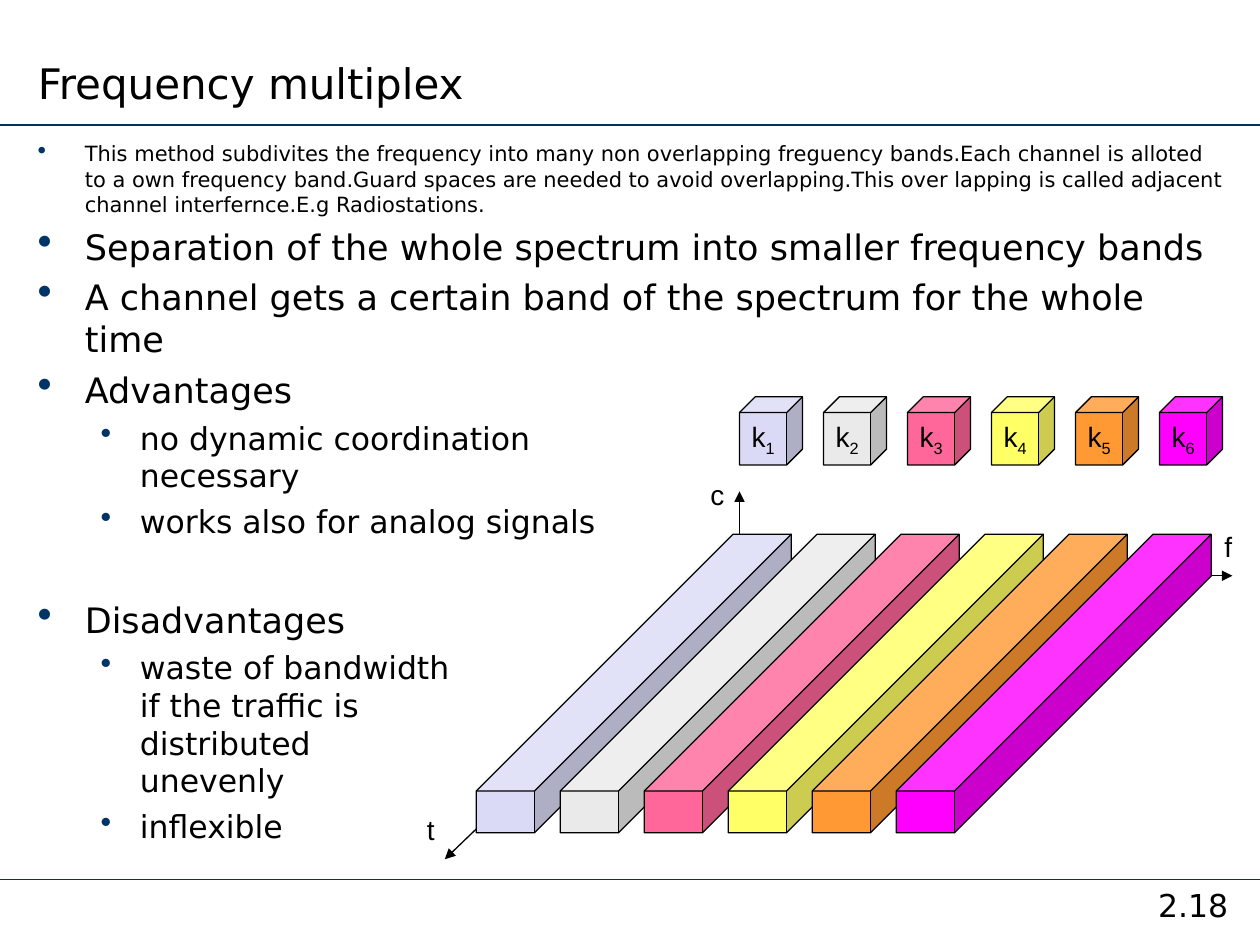
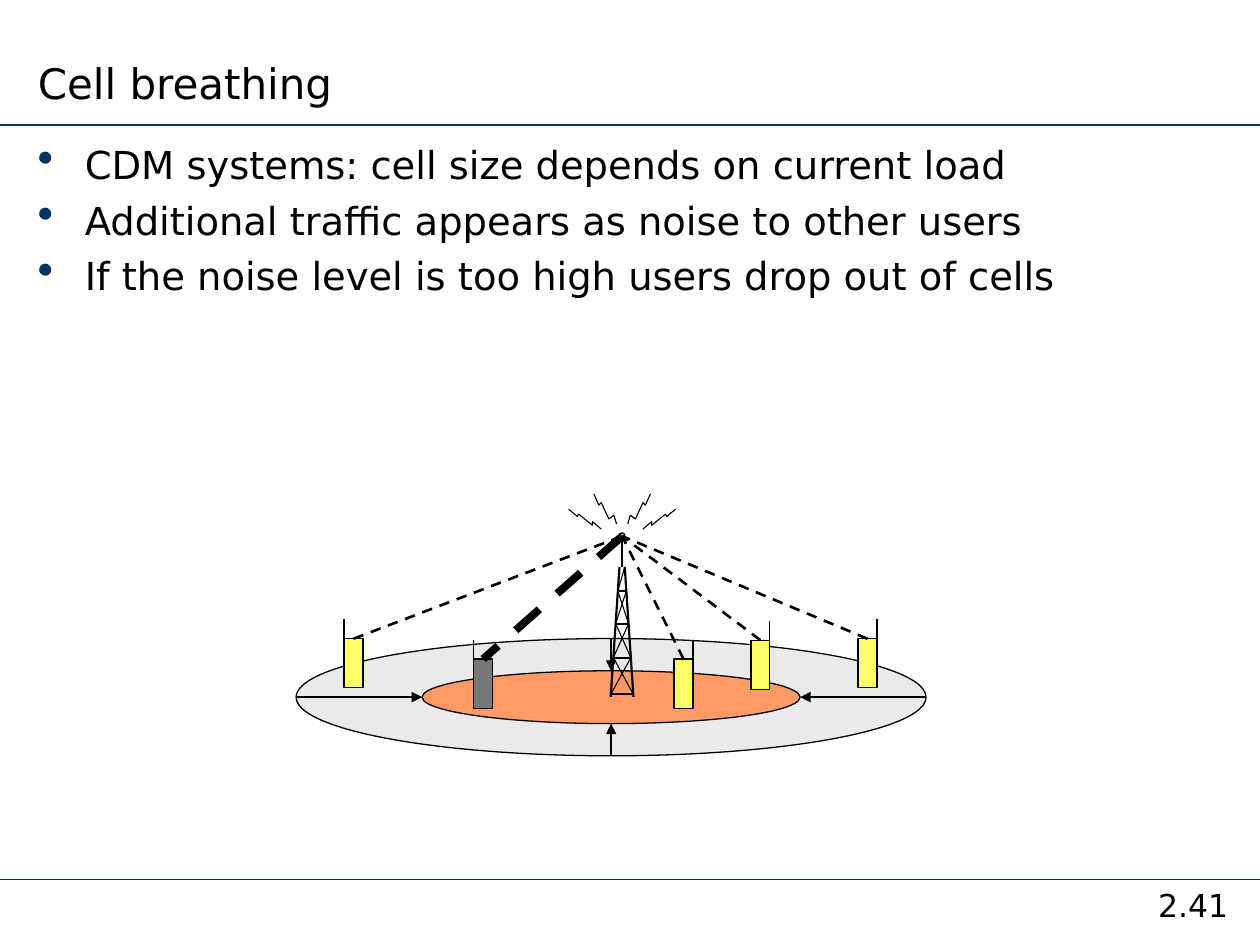
from itertools import pairwise

from lxml import etree
from pptx import Presentation
from pptx.dml.color import RGBColor
from pptx.enum.dml import MSO_LINE
from pptx.enum.shapes import MSO_CONNECTOR, MSO_SHAPE
from pptx.enum.text import MSO_ANCHOR, MSO_AUTO_SIZE, PP_ALIGN
from pptx.oxml.ns import qn
from pptx.util import Pt

STRAIGHT = MSO_CONNECTOR.STRAIGHT
CUBE, OVAL, RECTANGLE = MSO_SHAPE.CUBE, MSO_SHAPE.OVAL, MSO_SHAPE.RECTANGLE
DASH = MSO_LINE.DASH
BOTTOM, MIDDLE = MSO_ANCHOR.BOTTOM, MSO_ANCHOR.MIDDLE
LEFT, CENTER = PP_ALIGN.LEFT, PP_ALIGN.CENTER
NO_AUTOFIT = MSO_AUTO_SIZE.NONE

BLACK = RGBColor(0, 0, 0)
NAVY = RGBColor(0x00, 0x33, 0x66)
LAVENDER = RGBColor(0xDA, 0xDA, 0xF6)
PALE_GREY = RGBColor(0xEA, 0xEA, 0xEA)
PINK = RGBColor(0xFF, 0x66, 0x99)
YELLOW = RGBColor(0xFF, 0xFF, 0x66)
ORANGE = RGBColor(0xFF, 0x99, 0x33)
MAGENTA = RGBColor(0xFF, 0x00, 0xFF)
SALMON = RGBColor(0xFF, 0x99, 0x66)
SILVER = RGBColor(0xC0, 0xC0, 0xC0)
DARK_GREY = RGBColor(0x77, 0x77, 0x77)

TEXT_FONT, LABEL_FONT = "DejaVu Sans", "Arial"
WIDTH, HEIGHT = 720, 540
RULES = (71.3, 502.6)
INDENTS = ((27, -27), (58.5, -22.5))

MULTIPLEX_POINTS = [
    (0, 12, 3, "This method subdivites the frequency into many non overlapping freguency bands."
               "Each channel is alloted to a own frequency band."
               "Guard spaces are needed to avoid overlapping."
               "This over lapping is called adjacent channel interfernce.E.g Radiostations."),
    (0, 20, 5, "Separation of the whole spectrum into smaller frequency bands"),
    (0, 20, 5, "A channel gets a certain band of the spectrum for the whole time"),
    (0, 20, 5, "Advantages"),
    (1, 18, 4.5, "no dynamic coordination\nnecessary"),
    (1, 18, 4.5, "works also for analog signals"),
    (0, 20, 33.3, "Disadvantages"),
    (1, 18, 4.5, "waste of bandwidth\nif the traffic is\ndistributed\nunevenly"),
    (1, 18, 4.5, "inflexible"),
]
CHANNEL_COLORS = [LAVENDER, PALE_GREY, PINK, YELLOW, ORANGE, MAGENTA]
CHANNEL_PITCH = 48
AXIS_ORIGIN = (422.6, 329)
AXES = [
    ("t", (254.2, 491), (236.9, 460.8)),
    ("c", (422.6, 280.8), (398.9, 269.3)),
    ("f", (704.2, 329), (692.6, 298.8)),
]

BREATHING_POINTS = [
    (0, 22, 5.5, "CDM systems: cell size depends on current load"),
    (0, 22, 5.5, "Additional traffic appears as noise to other users"),
    (0, 22, 5.5, "If the noise level is too high users drop out of cells"),
]
CELL_CENTER = (349.2, 398.4)
FULL_CELL, SHRUNK_CELL = (180, 33.5), (108, 15.1)
SPARKS = [
    [(11.9, 302.4), (16.9, 298.1), (16.9, 300.2), (24.8, 293.8), (25.6, 295.2), (30.6, 290.9)],
    [(3.2, 299.5), (4.7, 294.5), (7.6, 296.6), (11.9, 287.3), (13.3, 288.7), (16.2, 282.2)],
]
MAST_X, MAST_TIP = 355.5, 306.4
MAST_LEVELS = [324, 337.7, 356.4, 375.8, 396.7]
MAST_FOOT = 398.2
PHONE_SIZE = (10.8, 28.1)
PHONES = [
    (196.6, 365, YELLOW, "left", 1.5),
    (270.7, 376.6, DARK_GREY, "left", 4.5),
    (385.2, 376.6, YELLOW, "right", 1.5),
    (429.1, 365.8, YELLOW, "right", 1.5),
    (490.3, 365, YELLOW, "right", 1.5),
]


def add_span(para, text, size, font=TEXT_FONT):
    span = para.add_run()
    span.text = text
    span.font.name, span.font.size = font, Pt(size)
    span.font.color.rgb = BLACK
    return span


def add_box(page, left, top, width, height):
    box = page.shapes.add_textbox(Pt(left), Pt(top), Pt(width), Pt(height))
    box.text_frame.word_wrap = True
    return box


def add_line(page, start, end, width=0.75, color=BLACK, arrow=False, dash=None):
    line = page.shapes.add_connector(STRAIGHT, *(Pt(value) for value in (*start, *end)))
    line.line.color.rgb, line.line.width = color, Pt(width)
    if dash:
        line.line.dash_style = dash
    properties = line._element.spPr
    if arrow:
        etree.SubElement(properties.find(qn("a:ln")), qn("a:tailEnd"), type="triangle")
    etree.SubElement(properties, qn("a:effectLst"))
    return line


def add_solid(page, kind, left, top, width, height, color):
    solid = page.shapes.add_shape(kind, Pt(left), Pt(top), Pt(width), Pt(height))
    solid.shadow.inherit = False
    solid.fill.solid()
    solid.fill.fore_color.rgb = color
    solid.line.color.rgb, solid.line.width = BLACK, Pt(0.75)
    return solid


def add_bullet(para, level):
    properties = para._p.get_or_add_pPr()
    margin, indent = INDENTS[level]
    properties.set("marL", str(Pt(margin)))
    properties.set("indent", str(Pt(indent)))
    color = etree.SubElement(properties, qn("a:buClr"))
    etree.SubElement(color, qn("a:srgbClr"), val=str(NAVY))
    if level == 0:
        etree.SubElement(properties, qn("a:buSzPct"), val="120000")
    etree.SubElement(properties, qn("a:buChar"), char="•")


def add_points(page, points):
    frame = add_box(page, 14.4, 77, 692, 421).text_frame
    for number, (level, size, space, text) in enumerate(points):
        para = frame.add_paragraph() if number else frame.paragraphs[0]
        para.level, para.space_before = level, Pt(space)
        add_bullet(para, level)
        for row, words in enumerate(text.split("\n")):
            if row:
                para.add_line_break()
            add_span(para, words, size)


def add_page(deck, title, number, points):
    page = deck.slides.add_slide(deck.slide_layouts[5])
    for y in RULES:
        add_line(page, (0, y), (WIDTH, y), 1, NAVY)
    heading = page.shapes.title
    heading.left, heading.top, heading.width, heading.height = Pt(14.4), Pt(0), Pt(476), Pt(65.5)
    frame = heading.text_frame
    frame.auto_size, frame.vertical_anchor = NO_AUTOFIT, BOTTOM
    frame.paragraphs[0].alignment = LEFT
    add_span(frame.paragraphs[0], title, 24)
    para = add_box(page, 643.7, RULES[1], 76.3, 31.7).text_frame.paragraphs[0]
    para.alignment = CENTER
    add_span(para, number, 18)
    add_points(page, points)
    return page


def add_channels(page):
    for name, end, label in AXES:
        add_line(page, AXIS_ORIGIN, end, arrow=True)
    for index, color in enumerate(CHANNEL_COLORS):
        shift = index * CHANNEL_PITCH
        band = add_solid(page, CUBE, 272.2 + shift, 305.3, 180, 170.6, color)
        band.adjustments[0] = 0.86
        key = add_solid(page, CUBE, 422.6 + shift, 226.8, 36, 38.9, color)
        key.adjustments[0] = 0.25
        frame = key.text_frame
        frame.word_wrap, frame.vertical_anchor = False, MIDDLE
        para = frame.paragraphs[0]
        para.alignment = CENTER
        add_span(para, "k", 16, LABEL_FONT)
        subscript = add_span(para, str(index + 1), 16, LABEL_FONT)
        subscript.font._element.set("baseline", "-25000")
    for name, end, label in AXES:
        box = add_box(page, *label, 22, 26.6)
        box.text_frame.word_wrap = False
        add_span(box.text_frame.paragraphs[0], name, 16, LABEL_FONT)


def add_cells(page):
    x, y = CELL_CENTER
    for (across, down), color in ((FULL_CELL, PALE_GREY), (SHRUNK_CELL, SALMON)):
        add_solid(page, OVAL, x - across, y - down, 2 * across, 2 * down, color)


def add_shrink_arrows(page):
    for across, down in ((-1, 0), (0, 1), (1, 0), (0, -1)):
        start, end = ((CELL_CENTER[0] + across * cell[0], CELL_CENTER[1] + down * cell[1])
                      for cell in (FULL_CELL, SHRUNK_CELL))
        add_line(page, start, end, 1, arrow=True)


def add_sparks(page):
    for side in (1, -1):
        for spark in SPARKS:
            points = [(Pt(MAST_X + side * x), Pt(y)) for x, y in spark]
            builder = page.shapes.build_freeform(*points[0])
            builder.add_line_segments(points[1:], close=False)
            bolt = builder.convert_to_shape()
            bolt.shadow.inherit = False
            bolt.fill.background()
            bolt.line.color.rgb, bolt.line.width = BLACK, Pt(0.62)


def mast_point(side, y):
    top = MAST_LEVELS[0]
    return MAST_X + side * (1.5 + 5 * (y - top) / (MAST_FOOT - top)), y


def add_mast(page):
    top = MAST_LEVELS[0]
    add_line(page, (MAST_X, top), (MAST_X, MAST_TIP), 1.25)
    for side in (-1, 1):
        add_line(page, mast_point(side, top), mast_point(side, MAST_FOOT), 1.25)
    for upper, lower in pairwise(MAST_LEVELS):
        add_line(page, mast_point(-1, lower), mast_point(1, lower), 1.25)
        for side in (1,) if upper == top else (1, -1):
            add_line(page, mast_point(side, upper), mast_point(-side, lower), 0.62)
    add_solid(page, OVAL, MAST_X - 1.4, 304.6, 2.9, 2.2, SILVER)


def add_phones(page):
    tip = (MAST_X, MAST_TIP)
    for left, top, color, antenna, weight in PHONES:
        phone = add_solid(page, RECTANGLE, left, top, *PHONE_SIZE, color)
        x = left if antenna == "left" else left + PHONE_SIZE[0]
        add_line(page, (x, top), (x, top - 11))
        link = add_line(page, tip, tip, weight, dash=DASH)
        if color == DARK_GREY:
            link.end_connect(phone, 0)
        else:
            link.begin_connect(phone, 0)


def main():
    deck = Presentation()
    deck.slide_width, deck.slide_height = Pt(WIDTH), Pt(HEIGHT)
    add_channels(add_page(deck, "Frequency multiplex", "2.18", MULTIPLEX_POINTS))
    page = add_page(deck, "Cell breathing", "2.41", BREATHING_POINTS)
    for draw in (add_cells, add_sparks, add_mast, add_phones, add_shrink_arrows):
        draw(page)
    deck.save("out.pptx")


if __name__ == "__main__":
    main()
